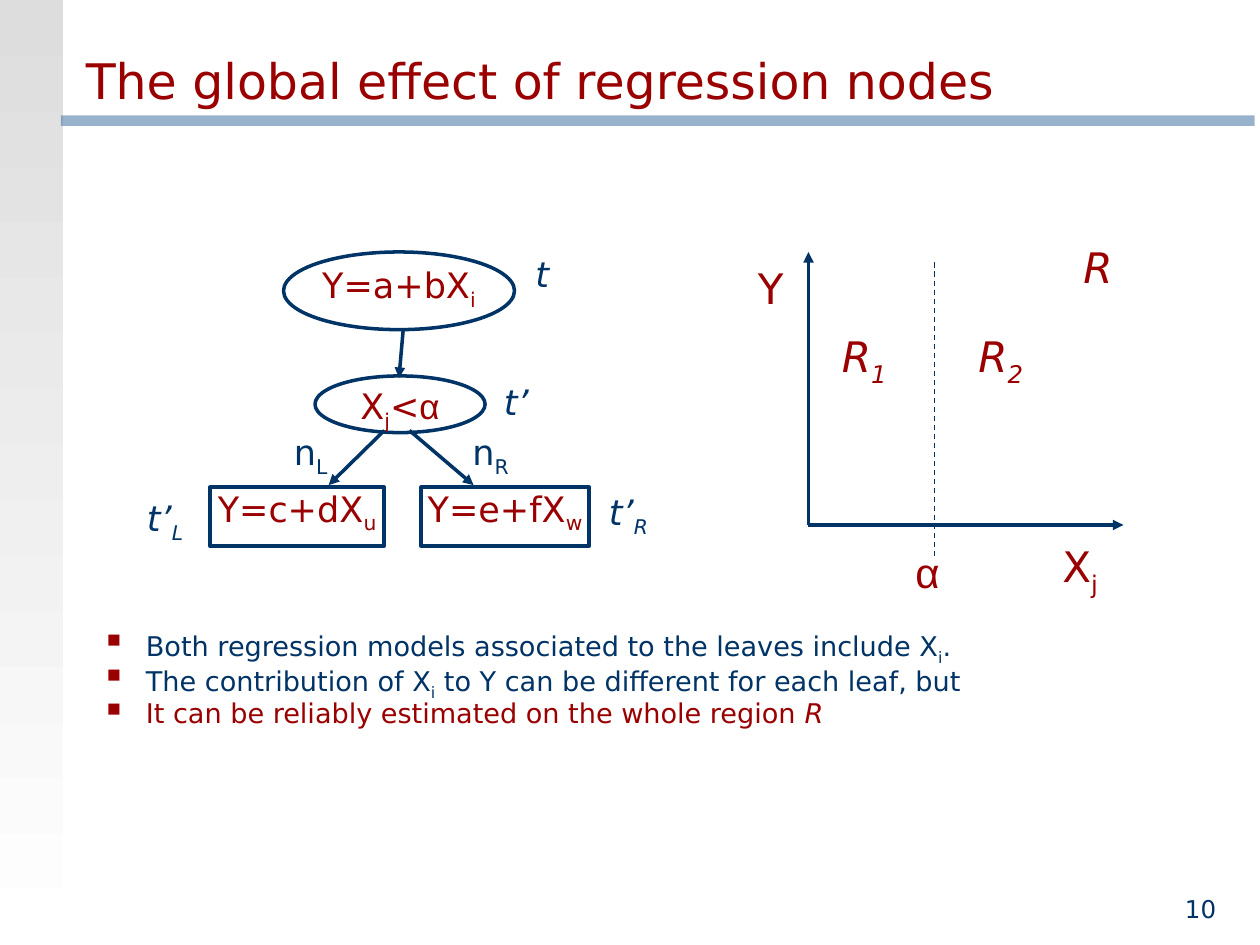
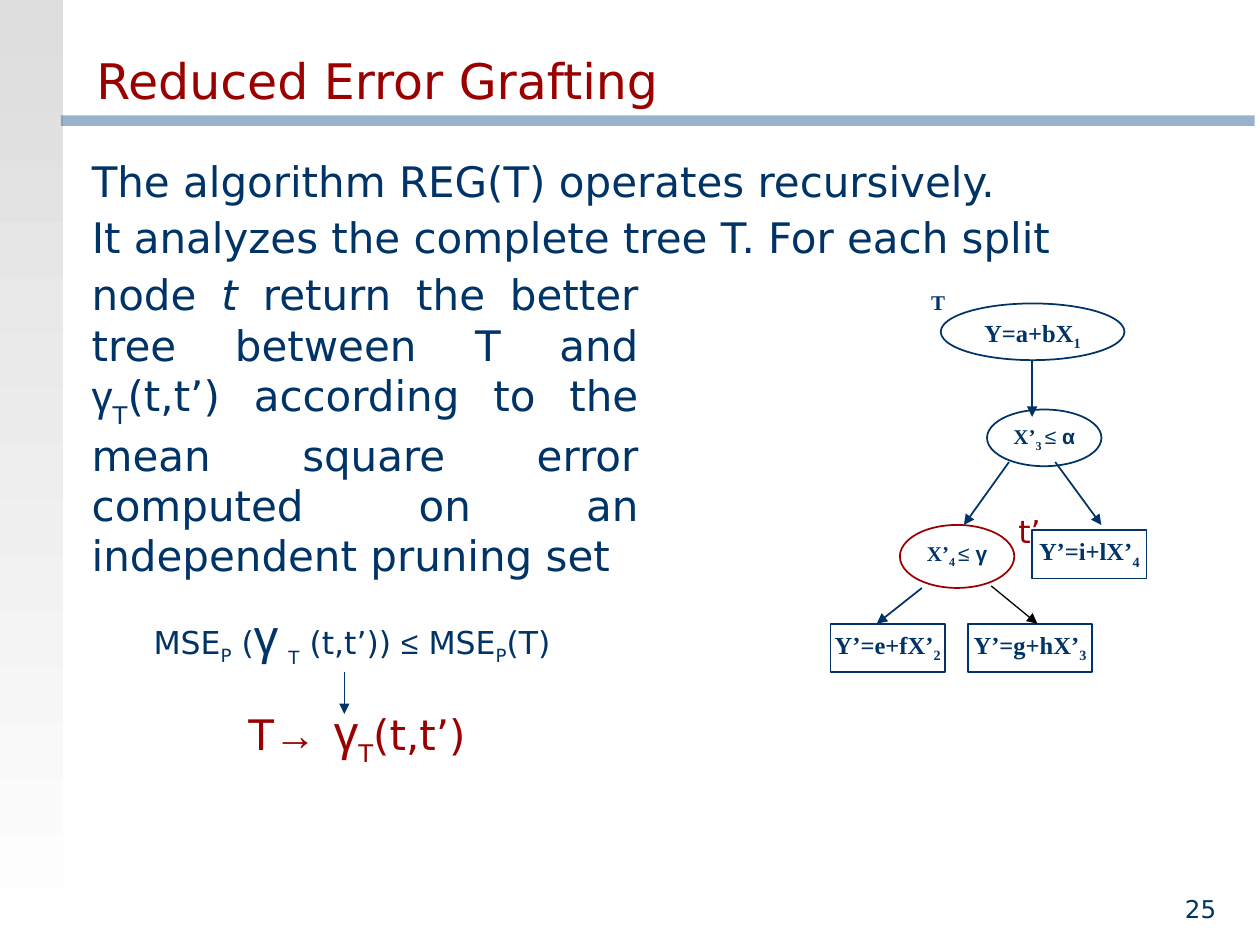
from lxml import etree
from pptx import Presentation
from pptx.dml.color import RGBColor
from pptx.enum.dml import MSO_LINE
from pptx.enum.shapes import MSO_CONNECTOR, MSO_SHAPE
from pptx.enum.text import MSO_ANCHOR, PP_ALIGN
from pptx.oxml.ns import qn
from pptx.util import Inches, Pt

RECT, OVAL = MSO_SHAPE.RECTANGLE, MSO_SHAPE.OVAL
STRAIGHT, DASH = MSO_CONNECTOR.STRAIGHT, MSO_LINE.DASH
TOP, BOTTOM = MSO_ANCHOR.TOP, MSO_ANCHOR.BOTTOM
LEFT, MID, RIGHT, FULL = PP_ALIGN.LEFT, PP_ALIGN.CENTER, PP_ALIGN.RIGHT, PP_ALIGN.JUSTIFY

HEX = {"navy": "003366", "red": "9A0000", "band": "336699",
       "grey": "DDDDDD", "white": "FFFFFF", "black": "000000"}
RGB = {name: RGBColor.from_string(code) for name, code in HEX.items()}
SANS, ARIAL, SERIF = "DejaVu Sans", "Arial", "Times New Roman"
SUB, LOW = {"base": -25000}, {"base": -30000}
GREEK, SLANT = {"font": ARIAL}, {"italic": True}

deck = Presentation()
deck.slide_width, deck.slide_height = Inches(10), Inches(7.5)
UNIT = deck.slide_width / 120  # grid of 120 columns by 90 rows


def write(slide, at, *paras, kind=None, line=None, weight=1, size=20, font=SANS,
          color="navy", bold=False, italic=False, align=LEFT, anchor=TOP, pad=(0, 0),
          space=None, before=0, after=0, left=0, bullet=None):
    """Put paragraphs, each a list of strings or (string, format) pairs, in a box or shape."""
    place = [round(UNIT * n) for n in at]
    if kind is None:
        box = slide.shapes.add_textbox(*place)
    else:
        box = slide.shapes.add_shape(kind, *place)
        box.shadow.inherit = False
        box.fill.background()
        box.line.color.rgb = RGB[line]
        box.line.width = Pt(weight)
    frame = box.text_frame
    frame.word_wrap = True
    frame.vertical_anchor = anchor
    frame.margin_left = frame.margin_right = Inches(pad[0])
    frame.margin_top = frame.margin_bottom = Inches(pad[1])
    base = {"size": size, "font": font, "color": color, "bold": bold,
            "italic": italic, "base": 0}
    for i, runs in enumerate(paras):
        para = frame.paragraphs[0] if i == 0 else frame.add_paragraph()
        para.alignment = align
        para.space_after = Pt(after)
        para.space_before = Pt(before if i else 0)
        if space:
            para.line_spacing = space
        props = para._p.get_or_add_pPr()
        props.set("marL", str(Inches(left)))
        props.set("indent", str(Inches(-0.31 if bullet else 0)))
        if bullet:
            tint = etree.SubElement(props, qn("a:buClr"))
            etree.SubElement(tint, qn("a:srgbClr"), val=HEX["red"])
            etree.SubElement(props, qn("a:buSzPct"), val="70000")
            etree.SubElement(props, qn("a:buChar"), char=bullet)
        for item in runs:
            words, extra = (item, {}) if isinstance(item, str) else item
            look = {**base, **extra}
            run = para.add_run()
            run.text = words
            run.font.size = Pt(look["size"])
            run.font.name = look["font"]
            run.font.bold, run.font.italic = look["bold"], look["italic"]
            run.font.color.rgb = RGB[look["color"]]
            if look["base"]:
                run._r.get_or_add_rPr().set("baseline", str(look["base"]))


def link(slide, ends, color="navy", weight=1, arrow=True, dash=None):
    """Draw a line between two grid points, with an arrowhead at its end."""
    wire = slide.shapes.add_connector(STRAIGHT, *[round(UNIT * n) for n in ends])
    wire.line.color.rgb = RGB[color]
    wire.line.width = Pt(weight)
    if dash:
        wire.line.dash_style = dash
    if arrow:
        etree.SubElement(wire.line._get_or_add_ln(), qn("a:tailEnd"), type="triangle")
    etree.SubElement(wire._element.spPr, qn("a:effectLst"))


# Shared frame: side stripe, band, title and page number
WIDE = (0.1, 0.05)
pages = []
for title, spot, number in [
        ("The global effect of regression nodes", (7, 3, 102, 8), "10"),
        ("Reduced Error Grafting", (8, 4, 107, 7), "25")]:
    page = deck.slides.add_slide(deck.slide_layouts[6])
    pages.append(page)
    for at in [(0, 0, 6, 90), (5.8, 11, 113.7, 1)]:
        bar = page.shapes.add_shape(RECT, *[round(UNIT * n) for n in at])
        bar.shadow.inherit = False
        bar.line.fill.background()
        if at[0] == 0:
            bar.fill.gradient()
            bar.fill.gradient_angle = 270
            for stop, name in zip(bar.fill.gradient_stops, ("grey", "white")):
                stop.color.rgb = RGB[name]
        else:
            bar.fill.solid()
            bar.fill.fore_color.rgb = RGB["band"]
            tint = bar._element.spPr.find(".//" + qn("a:srgbClr"))
            etree.SubElement(tint, qn("a:alpha"), val="50000")
    write(page, spot, [title], size=28, color="red", anchor=BOTTOM, pad=WIDE)
    write(page, (97, 82.5, 20, 6), [number], size=14, align=RIGHT, anchor=BOTTOM, pad=WIDE)

# Slide 1: regression tree, split plane and conclusions
one, two = pages
write(one, (3, 60, 114, 11),
      ["Both regression models associated to the leaves include X", ("i", SUB), "."],
      ["The contribution of X", ("i", SUB), " to Y can be different for each leaf, but"],
      [("It can be reliably estimated on the whole region ", {"color": "red"}),
       ("R", {"color": "red", "italic": True})],
      size=15.5, pad=WIDE, space=0.7, after=5, left=0.81, bullet="■")

for kind, at, runs in [
        (OVAL, (27, 24, 22, 7.4), ["Y=a+bX", ("i", SUB)]),
        (OVAL, (30, 35.8, 16.2, 5.4), ["X", ("j", SUB), "<", ("α", GREEK)]),
        (RECT, (20, 46.4, 16.6, 5.6), ["Y=c+dX", ("u", SUB)]),
        (RECT, (40.1, 46.4, 16, 5.6), ["Y=e+fX", ("w", SUB)])]:
    write(one, at, runs, kind=kind, line="navy", weight=2, color="red", align=MID)

for ends in [(38.4, 31.4, 38, 36), (36.6, 41, 31.3, 46.2), (39, 41, 45.1, 46.2),
             (77, 50, 77, 24), (77, 50, 107, 50)]:
    link(one, ends, weight=2)
link(one, (89, 25, 89, 53), weight=0.75, arrow=False, dash=DASH)

for x, y, name, low, slant in [
        (28, 41, "n", "L", False), (45, 41, "n", "R", False),
        (51, 24, "t", "", True), (48, 36.2, "t’", "", True),
        (58, 46.7, "t’", "R", True), (14, 47.3, "t’", "L", True)]:
    write(one, (x, y, 6, 4), [name] + ([(low, SUB)] if low else []), italic=slant)

for x, y, runs, slant in [
        (100, 51, ["X", ("j", SUB)], False), (71, 25, ["Y"], False),
        (86, 52, [("α", GREEK)], False), (102, 23, ["R"], True),
        (79, 31, ["R", ("1", SUB)], True), (92, 31, ["R", ("2", SUB)], True)]:
    write(one, (x, y, 8, 6), runs, size=24, color="red", italic=slant, pad=WIDE, space=0.9)

# Slide 2: algorithm, error test and grafted tree
write(two, (3, 14.8, 104, 9.2), ["The algorithm REG(T) operates recursively."],
      ["It analyzes the complete tree T. For each split"],
      size=24, align=FULL, pad=WIDE, space=0.9, before=6, left=0.38)
write(two, (3, 25, 59, 32),
      ["node ", ("t ", SLANT), "return the better tree between T and ", ("γ", GREEK),
       ("T", LOW), "(t,t’) according to the mean square error computed on an "
       "independent pruning set"],
      size=24, align=FULL, pad=WIDE, left=0.38)

big = {"size": 24, "color": "red"}
write(two, (8, 58, 52, 24),
      ["MSE", ("P", SUB), " (", ("γ", {**GREEK, "size": 28}), " ", ("T", LOW), " (t,t’)) ",
       ("≤", GREEK), " MSE", ("P", SUB), "(T) "],
      [("T", big), ("→", {**big, **GREEK}), (" ", {**big, "size": 32}),
       ("γ", {**big, **GREEK, "size": 28}), ("T", {**big, **LOW}), ("(t,t’)", big)],
      size=18, align=MID, pad=WIDE, space=0.8, before=15, after=7)
link(two, (32.8, 64, 32.8, 68), weight=0.75)

write(two, (87.5, 27, 6.6, 8), ["T"], size=12, font=SERIF, bold=True, pad=WIDE)
for kind, at, name, low, sign in [
        (OVAL, (89.6, 28.9, 17.5, 5.4), "Y=a+bX", "1", ""),
        (OVAL, (94, 39, 10.9, 5.4), "X’", "3 ", "α"),
        (OVAL, (85.7, 50, 10.9, 6), "X’", "4 ", "γ"),
        (RECT, (98.3, 50.5, 10.9, 4.6), "Y’=i+lX’", "4", ""),
        (RECT, (79.1, 59.4, 10.9, 4.6), "Y’=e+fX’", "2", ""),
        (RECT, (92.2, 59.4, 11.8, 4.6), "Y’=g+hX’", "3", "")]:
    rule = [("≤ ", {**GREEK, "bold": False}), (sign, GREEK)] if sign else []
    write(two, at, [name, (low, SUB)] + rule, kind=kind,
          line="red" if sign == "γ" else "navy", size=12 if sign else 14,
          font=SERIF, bold=True, align=MID, pad=(0, 0.05))

for ends in [(98.3, 34.3, 98.3, 39.7), (100.5, 44, 104.9, 50),
             (96.1, 44, 91.8, 50), (87.8, 56, 83.5, 59.4)]:
    link(two, ends)
link(two, (94.4, 55.8, 98.8, 59.4), color="black", weight=0.75)
write(two, (95.8, 48, 7, 5), ["t’"], size=18, color="red", pad=WIDE, space=1.05)

deck.save("out.pptx")
